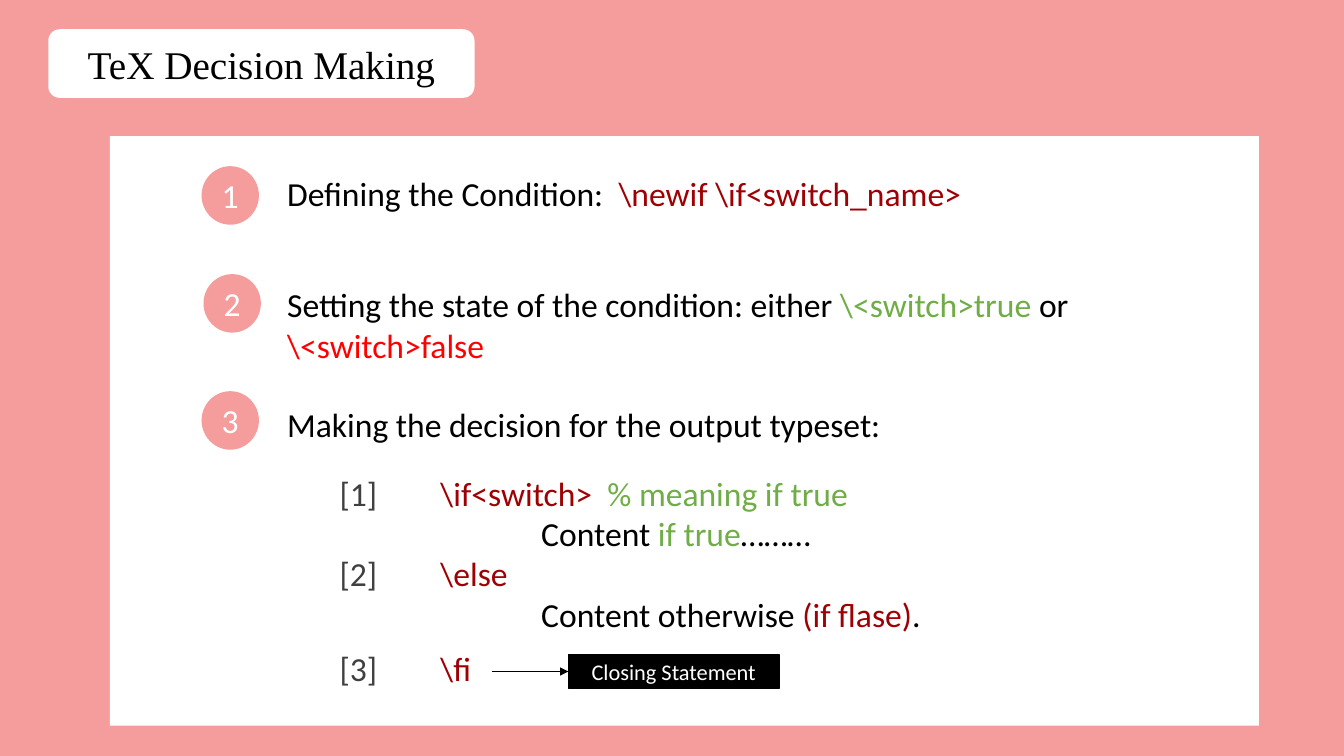
from dataclasses import dataclass
from typing import Optional

from lxml import etree
from pptx import Presentation
from pptx import util as u
from pptx.dml.color import RGBColor
from pptx.enum import shapes, text
from pptx.oxml.ns import qn

Pt = u.Pt


@dataclass(frozen=True)
class Theme:
    pink: str = "F59D9D"
    white: str = "FFFFFF"
    black: str = "000000"
    grey: str = "404040"
    command: str = "9F0003"
    true: str = "70AD47"
    false: str = "FF0000"
    body_font: str = "Calibri"
    title_font: str = "Times New Roman"
    title_size: float = 28
    body_size: float = 24
    label_size: float = 16


THEME = Theme()
KIND = shapes.MSO_SHAPE
TAB = 72
SPACE_WIDTH = 5.4


@dataclass(frozen=True)
class Box:
    left: float
    top: float
    width: float
    height: float

    def lengths(self) -> list[u.Length]:
        return [Pt(v) for v in (self.left, self.top, self.width, self.height)]


@dataclass(frozen=True)
class Run:
    words: str
    color: str = THEME.black
    size: float = THEME.body_size
    font: str = THEME.body_font
    tracking: float = 0


@dataclass(frozen=True)
class Line:
    runs: list[Run]
    margin: float = 0
    indent: float = 0
    before: float = 0


@dataclass(frozen=True)
class Step:
    circle_left: float
    circle_top: float
    text_top: float
    text_width: float
    text_height: float
    runs: list[Run]


WIDE_SPACE = Run(" ", tracking=SPACE_WIDTH)

STEPS = [
    Step(144, 118.7, 120.2, 721.4, 36, [
        Run("Defining the Condition:"), WIDE_SPACE,
        Run("\\newif \\if<switch_name>", THEME.command)]),
    Step(145.4, 195.8, 199.4, 572.4, 65.5, [
        Run("Setting the state of the condition: either "),
        Run("\\<switch>true ", THEME.true), Run("or "),
        Run("\\<switch>false", THEME.false)]),
    Step(144, 279.4, 285.1, 511.9, 36, [
        Run("Making the decision for the output typeset:")]),
]


def code_line(number: int, runs: list[Run], before: float = 0) -> Line:
    """Numbered line whose command hangs one tab to the right of its number."""
    return Line([Run(f"[{number}]\t", THEME.grey), *runs], 2 * TAB, -TAB, before)


def content_line(runs: list[Run]) -> Line:
    return Line(runs, 3 * TAB)


CODE = [
    code_line(1, [Run("\\if<switch>", THEME.command), WIDE_SPACE,
                  Run("% meaning if true", THEME.true)]),
    content_line([Run("Content"), Run(" if true", THEME.true), Run("………")]),
    code_line(2, [Run("\\else", THEME.command)]),
    content_line([Run("Content otherwise "), Run("(if flase)", THEME.command), Run(".")]),
    code_line(3, [Run("\\fi", THEME.command)], before=10),
]


def rgb(color: str) -> RGBColor:
    return RGBColor.from_string(color)


def write_line(para, line: Line) -> None:
    props = para._p.get_or_add_pPr()
    props.set("marL", str(Pt(line.margin)))
    props.set("indent", str(Pt(line.indent)))
    if line.before:
        para.space_before = Pt(line.before)
    for run in line.runs:
        span = para.add_run()
        span.text = run.words
        span.font.name = run.font
        span.font.size = Pt(run.size)
        span.font.color.rgb = rgb(run.color)
        if run.tracking:
            span._r.get_or_add_rPr().set("spc", str(round(run.tracking * 100)))


def add_text(page, box: Box, lines: list[Line]) -> None:
    frame = page.shapes.add_textbox(*box.lengths()).text_frame
    frame.word_wrap = True
    for index, line in enumerate(lines):
        write_line(frame.add_paragraph() if index else frame.paragraphs[0], line)


def add_block(page, kind, box: Box, fill: str, run: Optional[Run] = None,
              outline: Optional[str] = None):
    """Filled shape with an optional centred label and outline."""
    block = page.shapes.add_shape(kind, *box.lengths())
    block.shadow.inherit = False
    block.fill.solid()
    block.fill.fore_color.rgb = rgb(fill)
    if outline:
        block.line.color.rgb = rgb(outline)
        block.line.width = Pt(1)
    else:
        block.line.fill.background()
    if run:
        frame = block.text_frame
        frame.vertical_anchor = text.MSO_ANCHOR.MIDDLE
        write_line(frame.paragraphs[0], Line([run]))
        frame.paragraphs[0].alignment = text.PP_ALIGN.CENTER
    return block


def add_arrow_to(page, start_x: float, target) -> None:
    """Level arrow ending at the middle of the target's left side."""
    middle = target.top + target.height // 2
    arrow = page.shapes.add_connector(
        shapes.MSO_CONNECTOR.STRAIGHT, Pt(start_x), middle, target.left, middle)
    arrow.end_connect(target, 1)
    arrow.line.color.rgb = rgb(THEME.black)
    arrow.line.width = Pt(0.5)
    etree.SubElement(arrow.line._get_or_add_ln(), qn("a:tailEnd"), type="triangle")
    etree.SubElement(arrow._element.spPr, qn("a:effectLst"))


def main() -> None:
    deck = Presentation()
    deck.slide_width, deck.slide_height = Pt(960), Pt(540)
    page = deck.slides.add_slide(deck.slide_layouts[6])
    page.background.fill.solid()
    page.background.fill.fore_color.rgb = rgb(THEME.pink)

    add_block(page, KIND.ROUNDED_RECTANGLE, Box(34.5, 20.9, 304.5, 49), THEME.white,
              Run("TeX Decision Making", size=THEME.title_size, font=THEME.title_font))
    add_block(page, KIND.RECTANGLE, Box(78.5, 97.2, 820.8, 421.2), THEME.white)

    for number, step in enumerate(STEPS, 1):
        add_block(page, KIND.OVAL, Box(step.circle_left, step.circle_top, 41, 41.8),
                  THEME.pink, Run(str(number), THEME.white))
        add_text(page, Box(198, step.text_top, step.text_width, step.text_height),
                 [Line(step.runs)])

    add_text(page, Box(163.5, 334, 562.3, 191.5), CODE)
    closing = add_block(page, KIND.RECTANGLE, Box(406, 467.7, 150.5, 24), THEME.black,
                        Run("Closing Statement", THEME.white, THEME.label_size),
                        THEME.black)
    add_arrow_to(page, 351.4, closing)
    deck.save("out.pptx")


if __name__ == "__main__":
    main()
